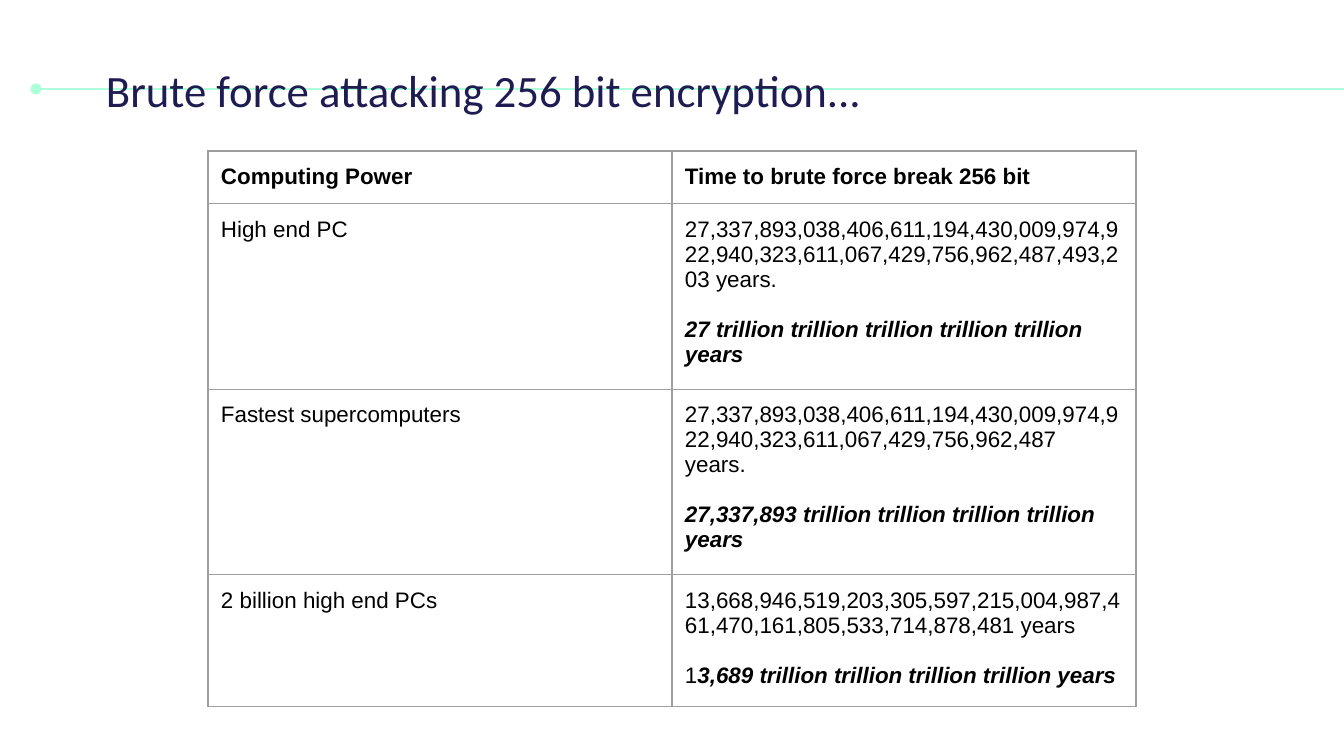
import pptx
import pptx.dml.color
import pptx.enum.shapes
import pptx.oxml
import pptx.oxml.ns
import pptx.util

SCALE = 914400 / 134.4
NS = pptx.oxml.ns.nsdecls("a")


def px(n):
    """Turn a length in px into EMU."""
    return pptx.util.Emu(round(n * SCALE))


def style(run, font, size, color, bold=False, italic=False):
    run.font.name = font
    run.font.size = pptx.util.Pt(size)
    run.font.color.rgb = pptx.dml.color.RGBColor.from_string(color)
    run.font.bold = bold
    run.font.italic = italic


deck = pptx.Presentation()
deck.slide_width, deck.slide_height = px(1344), px(756)
slide = deck.slides.add_slide(deck.slide_layouts[6])

# Rule behind the title
rule = slide.shapes.add_connector(
    pptx.enum.shapes.MSO_CONNECTOR.STRAIGHT, px(36), px(89), px(1357), px(89))
rule.line.color.rgb = pptx.dml.color.RGBColor.from_string("ACFFD9")
rule.line.width = pptx.util.Pt(1.5)
rule.line._get_or_add_ln().append(
    pptx.oxml.parse_xml(f'<a:headEnd {NS} type="oval"/>'))
rule._element.spPr.append(pptx.oxml.parse_xml(f"<a:effectLst {NS}/>"))

# Title
title = slide.shapes.add_textbox(px(93), px(50), px(894), px(79))
frame = title.text_frame
frame.word_wrap = True
frame.margin_left = frame.margin_right = px(13)
frame.margin_top = frame.margin_bottom = px(13)
frame.text = "Brute force attacking 256 bit encryption..."
style(frame.paragraphs[0].runs[0], "Calibri", 24, "1F1C51")

# Table: each row is a label, the full figure, then a plain and a bold part
rows = [
    ("Computing Power", "Time to brute force break 256 bit", "", ""),
    ("High end PC",
     "27,337,893,038,406,611,194,430,009,974,922,940,323,611,067,429,756,962,487,493,203 years.",
     "", "27 trillion trillion trillion trillion trillion years"),
    ("Fastest supercomputers",
     "27,337,893,038,406,611,194,430,009,974,922,940,323,611,067,429,756,962,487 years.",
     "", "27,337,893 trillion trillion trillion trillion years"),
    ("2 billion high end PCs",
     "13,668,946,519,203,305,597,215,004,987,461,470,161,805,533,714,878,481 years",
     "1", "3,689 trillion trillion trillion trillion years"),
]
tall = [51, 178, 177, 127]
grid = slide.shapes.add_table(
    len(rows), 2, px(208), px(151), px(928), px(sum(tall))).table
grid.first_row = grid.horz_banding = False
for col in grid.columns:
    col.width = px(464)

for r, (label, figure, plain, strong) in enumerate(rows):
    grid.rows[r].height = px(tall[r])
    for c, text in enumerate((label, figure)):
        cell = grid.cell(r, c)
        cell.margin_left = cell.margin_right = px(13)
        cell.margin_top = cell.margin_bottom = px(13)
        cell.text_frame.text = text
        style(cell.text_frame.paragraphs[0].runs[0], "Arial", 12, "000000", bold=r == 0)
        cell.fill.background()
        props = cell._tc.get_or_add_tcPr()
        for i, side in enumerate("LRTB"):
            props.insert(i, pptx.oxml.parse_xml(
                f'<a:ln{side} {NS} w="9525"><a:solidFill><a:srgbClr val="9E9E9E"/>'
                f'</a:solidFill></a:ln{side}>'))
    if strong:
        para = grid.cell(r, 1).text_frame.add_paragraph()
        para.space_before = pptx.util.Pt(13.4)
        for part, heavy in ((plain, False), (strong, True)):
            if part:
                run = para.add_run()
                run.text = part
                style(run, "Arial", 12, "000000", heavy, heavy)

deck.save("out.pptx")
